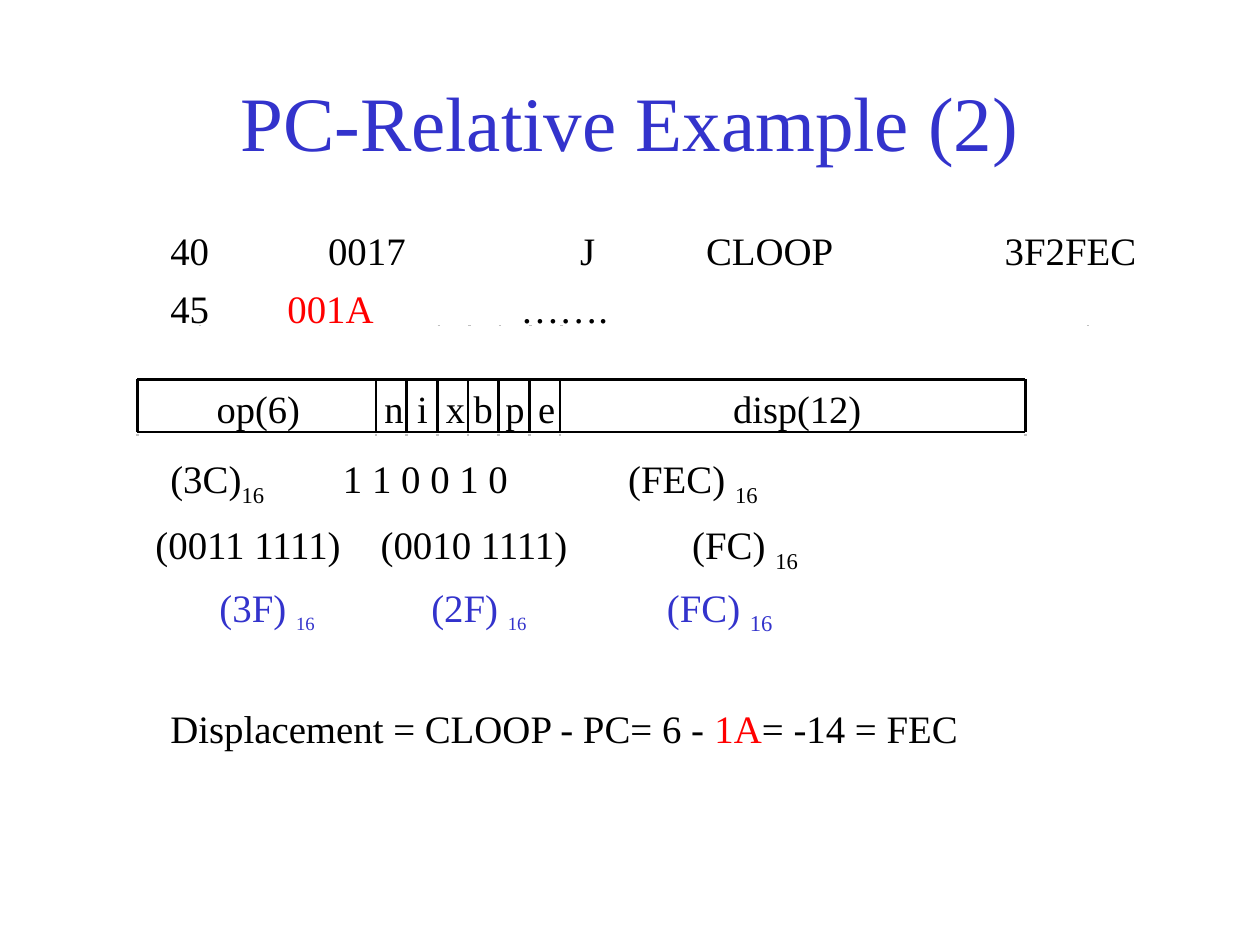
from lxml import etree
from pptx import Presentation
from pptx.dml.color import RGBColor
from pptx.enum import shapes, text
from pptx.oxml import ns
from pptx.util import Cm, Pt

COLORS = {"black": "000000", "blue": "3333CC", "red": "FF0000", "grey": "C0C0C0"}
FONT = "Times New Roman"
BODY_SIZE = 22.2

TITLE = "PC-Relative Example (2)"
SUB = {"sub": True}
BLUE = {"color": "blue"}
BLUE_SUB = {"color": "blue", "sub": True}
SMALL_SUB = {"color": "blue", "sub": True, "size": 18.5}

STEPS = [
    {"indent": 2.54, "before": 0, "tabs": [5.72, 10.8, 13.34, 19.36],
     "runs": [("40\t0017\tJ\tCLOOP\t3F2FEC", {})]},
    {"indent": 2.54, "before": 6.5, "tabs": [4.9, 9.6],
     "runs": [("45\t", {}), ("001A", {"color": "red"}), ("\t…….", {})]},
    {"indent": 2.54, "before": 70.5, "tabs": [6.02, 11.77],
     "runs": [("(3C)", {}), ("16", SUB), ("\t1 1 0 0 1 0\t(FEC) ", {}), ("16", SUB)]},
    {"indent": 2.24, "before": 7.5, "tabs": [6.78, 13.06],
     "runs": [("(0011 1111)\t(0010 1111)\t(FC) ", {}), ("16", SUB)]},
    {"indent": 3.53, "before": 5.5, "tabs": [7.8, 12.55],
     "runs": [("(3F) ", BLUE), ("16", SMALL_SUB), ("\t(2F) ", BLUE), ("16", SMALL_SUB),
              ("\t(FC) ", BLUE), ("16", BLUE_SUB)]},
    {"indent": 2.54, "before": 39, "tabs": [],
     "runs": [("Displacement = CLOOP - PC= 6 - ", {}), ("1A", {"color": "red"}),
              ("= -14 = FEC", {})]},
]

FIELDS = [("op(6)", 4.37, 1.68), ("n", 7.75, 0.38), ("i", 8.41, 0.24), ("x", 8.99, 0.38),
          ("b", 9.55, 0.38), ("p", 10.19, 0.38), ("e", 10.85, 0.36), ("disp(12)", 14.78, 2.59)]
FORMAT_LEFT, FLAGS_LEFT, FLAGS_RIGHT, FORMAT_RIGHT = 2.77, 7.58, 11.29, 20.67
FORMAT_TOP, FORMAT_BOTTOM, LABEL_TOP = 7.65, 8.71, 7.77
FLAG_COUNT = 6
SPECK_SHIFT, SPECK_TOP, SPECK_SIZE = 1.24, 6.56, 0.05


def write(paragraph, words, size=BODY_SIZE, color="black", sub=False):
    run = paragraph.add_run()
    run.text = words
    run.font.name = FONT
    run.font.size = Pt(size)
    run.font.color.rgb = RGBColor.from_string(COLORS[color])
    if sub:
        run.font._element.set("baseline", "-25000")


def clear_master_indent(deck):
    level = deck.slide_master.element.find(".//" + ns.qn("p:bodyStyle")).find(ns.qn("a:lvl1pPr"))
    for name in ("marL", "indent"):
        level.attrib.pop(name, None)


def set_layout(paragraph, indent, tabs):
    props = paragraph._p.get_or_add_pPr()
    props.set("marL", str(Cm(indent)))
    etree.SubElement(props, ns.qn("a:buNone"))
    if tabs:
        stops = etree.SubElement(props, ns.qn("a:tabLst"))
        for stop in tabs:
            etree.SubElement(stops, ns.qn("a:tab"), pos=str(Cm(stop - indent)), algn="l")


def draw_line(slide, x1, y1, x2, y2, color="black", width=1.5):
    line = slide.shapes.add_connector(
        shapes.MSO_CONNECTOR.STRAIGHT, Cm(x1), Cm(y1), Cm(x2), Cm(y2))
    line.line.width = Pt(width)
    line.line.color.rgb = RGBColor.from_string(COLORS[color])
    etree.SubElement(line._element.spPr, ns.qn("a:effectLst"))


def place(shape, left, top, width, height):
    shape.left, shape.top, shape.width, shape.height = map(Cm, (left, top, width, height))


def add_title(slide):
    title = slide.shapes.title
    place(title, 1.9, 0.84, 21.6, 3.18)
    title.text_frame.vertical_anchor = text.MSO_ANCHOR.MIDDLE
    heading = title.text_frame.paragraphs[0]
    heading.alignment = text.PP_ALIGN.CENTER
    write(heading, TITLE, size=44, color="blue")


def add_steps(slide):
    body = slide.placeholders[1]
    place(body, 0.64, 4.44, 22.66, 11.43)
    frame = body.text_frame
    frame.auto_size = text.MSO_AUTO_SIZE.NONE
    for number, step in enumerate(STEPS):
        paragraph = frame.add_paragraph() if number else frame.paragraphs[0]
        set_layout(paragraph, step["indent"], step["tabs"])
        paragraph.space_before = Pt(step["before"])
        for words, look in step["runs"]:
            write(paragraph, words, **look)


def add_format(slide):
    flag_width = (FLAGS_RIGHT - FLAGS_LEFT) / FLAG_COUNT
    flags = [FLAGS_LEFT + flag_width * i for i in range(FLAG_COUNT + 1)]
    edges = [FORMAT_LEFT, *flags, FORMAT_RIGHT]
    for x in (FORMAT_LEFT, *flags[:-2], FORMAT_RIGHT):
        left = x + SPECK_SHIFT
        draw_line(slide, left, SPECK_TOP, left + SPECK_SIZE, SPECK_TOP, color="grey", width=0.25)
    for label, left, width in FIELDS:
        field = slide.shapes.add_textbox(Cm(left), Cm(LABEL_TOP), Cm(width), Cm(0.94))
        frame = field.text_frame
        frame.word_wrap = False
        frame.margin_left = frame.margin_right = frame.margin_top = frame.margin_bottom = 0
        write(frame.paragraphs[0], label, size=22)
    for y in (FORMAT_TOP, FORMAT_BOTTOM):
        draw_line(slide, FORMAT_LEFT, y, FORMAT_RIGHT, y)
    for x in edges:
        draw_line(slide, x, FORMAT_TOP, x, FORMAT_BOTTOM)
        draw_line(slide, x, FORMAT_BOTTOM + 0.03, x, FORMAT_BOTTOM + 0.08, color="grey")


def main():
    deck = Presentation()
    deck.slide_width, deck.slide_height = Cm(25.4), Cm(19.05)
    clear_master_indent(deck)
    slide = deck.slides.add_slide(deck.slide_layouts[1])
    add_title(slide)
    add_steps(slide)
    add_format(slide)
    deck.save("out.pptx")


if __name__ == "__main__":
    main()
